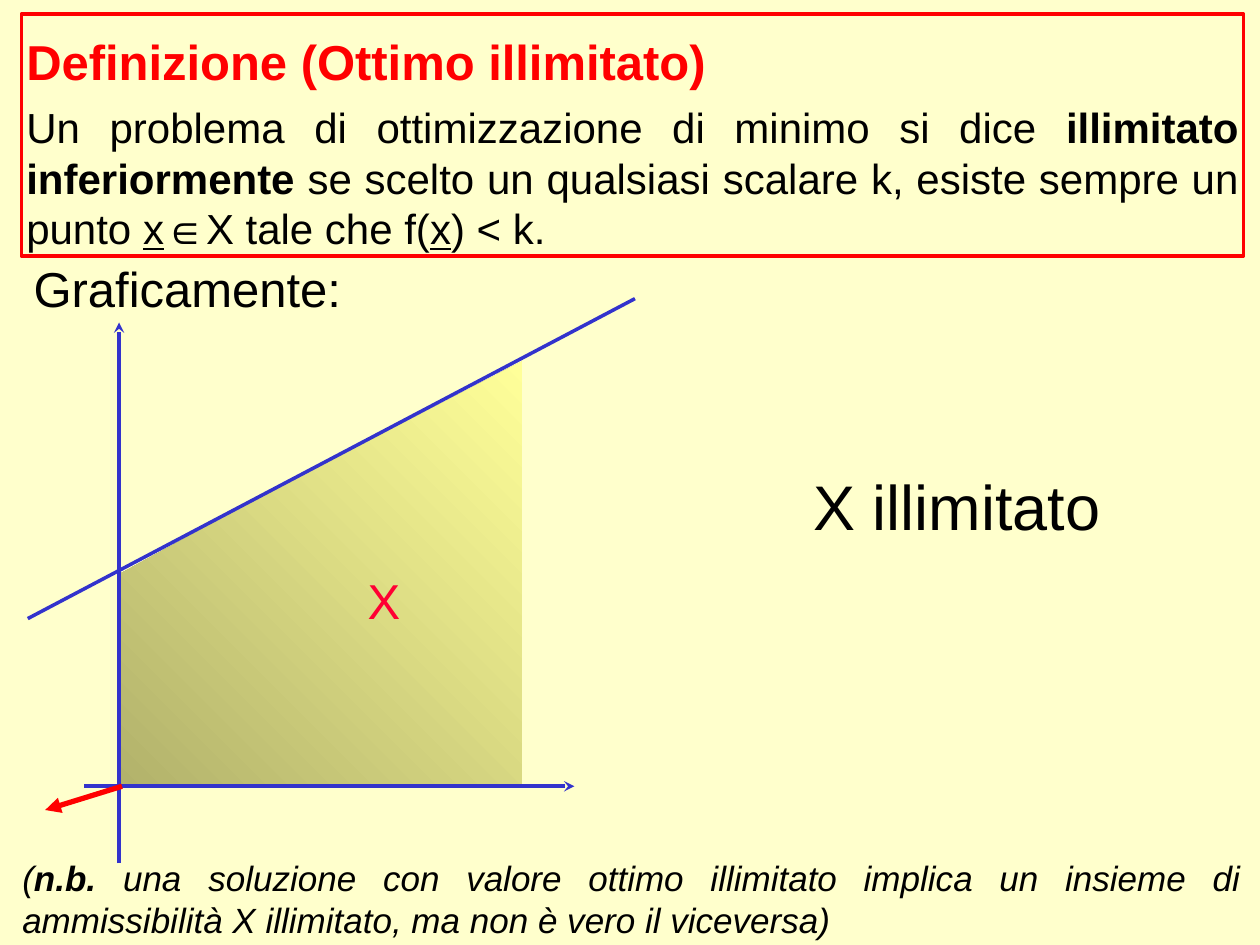
from lxml.etree import SubElement
from pptx import Presentation
from pptx.dml.color import RGBColor
from pptx.enum.shapes import MSO_CONNECTOR
from pptx.enum.text import MSO_ANCHOR, MSO_AUTO_SIZE, PP_ALIGN
from pptx.oxml.ns import qn
from pptx.util import Cm, Pt

COLOURS = {
    "paper": "FFFFCC",
    "text": "000000",
    "red": "FF0000",
    "region": "FF0033",
    "axis": "3333CC",
    "shade": "B2B26B",
    "light": "FFFF99",
}


def colour(name):
    """Return the named colour."""
    return RGBColor.from_string(COLOURS[name])


def set_values(target, values):
    """Set attributes of the target from a dict."""
    for name, value in values.items():
        setattr(target, name, value)


def set_frame(frame, side=0.25, top=0.23, wrap=True):
    """Set the insets, wrapping and sizing of a text frame."""
    set_values(frame, {
        "margin_left": Cm(side), "margin_right": Cm(side),
        "margin_top": Cm(top), "margin_bottom": Cm(0.13),
        "vertical_anchor": MSO_ANCHOR.TOP,
        "word_wrap": wrap, "auto_size": MSO_AUTO_SIZE.NONE,
    })


def write(para, spans, size, ink="text", align=PP_ALIGN.LEFT, before=0):
    """Fill a paragraph with (text, format values) spans."""
    set_values(para, {"alignment": align, "space_before": Pt(before)})
    for text, values in spans:
        span = para.add_run()
        span.text = text
        base = {"name": "Arial", "size": Pt(size), "bold": False}
        set_values(span.font, base | values)
        span.font.color.rgb = colour(ink)


def add_text(page, box, spans, size, ink="text", align=PP_ALIGN.LEFT, wrap=True):
    """Add a one-paragraph text box."""
    frame = page.shapes.add_textbox(*map(Cm, box)).text_frame
    set_frame(frame, wrap=wrap)
    write(frame.paragraphs[0], spans, size, ink, align)


def add_line(page, start, end, ink="axis", width=2, arrow=None):
    """Add a straight line, with an optional arrowhead at its end."""
    line = page.shapes.add_connector(
        MSO_CONNECTOR.STRAIGHT, *map(Cm, (*start, *end)))
    line.line.color.rgb = colour(ink)
    line.line.width = Pt(width)
    if arrow:
        SubElement(line.line._get_or_add_ln(), qn("a:tailEnd"), type=arrow)
    SubElement(line._element.spPr, qn("a:effectLst"))


def add_definition(page, box):
    """Place the framed definition in the title placeholder."""
    title = page.shapes.title
    set_values(title, dict(zip(("left", "top", "width", "height"), map(Cm, box))))
    title.line.color.rgb = colour("red")
    title.line.width = Pt(2)
    frame = title.text_frame
    set_frame(frame, side=0.1, top=0.36)
    write(frame.paragraphs[0],
          [("Definizione (Ottimo illimitato)", {"bold": True})], 28, "red")
    write(frame.add_paragraph(), [
        ("Un problema di ottimizzazione di minimo si dice ", {}),
        ("illimitato inferiormente ", {"bold": True}),
        ("se scelto un qualsiasi scalare k, esiste sempre un punto ", {}),
        ("x", {"underline": True}),
        ("∈X tale che f(", {}),
        ("x", {"underline": True}),
        (") < k.", {}),
    ], 24, align=PP_ALIGN.JUSTIFY, before=6.5)


def add_region(page, points):
    """Add the shaded feasible region."""
    corners = [(Cm(x), Cm(y)) for x, y in points]
    builder = page.shapes.build_freeform(*corners[0])
    builder.add_line_segments(corners[1:], close=True)
    region = builder.convert_to_shape()
    region.shadow.inherit = False
    region.line.fill.background()
    region.fill.gradient()
    region.fill.gradient_angle = 45
    for stop, name in zip(region.fill.gradient_stops, ("shade", "light")):
        stop.color.rgb = colour(name)


def add_graph(page, box):
    """Draw the axes, the constraint, the region and the descent direction."""
    left, top, width, height = box

    def at(x, y):
        """Return a point of the graph in page lengths."""
        return left + x, top + y

    axis_x, axis_y = 1.84, 9.83
    add_region(page, [at(*point) for point in (
        (axis_x, axis_y), (axis_x, 5.56), (4.29, 4.22),
        (9.96, 1.27), (9.96, axis_y))])
    add_line(page, at(axis_x, height), at(axis_x, 0.48), arrow="stealth")
    add_line(page, at(0, 6.45), at(width, 0))
    add_text(page, (*at(6.6, 5.26), 1.17, 1.45), [("X", {})], 28, "region",
             wrap=False)
    add_line(page, at(1.14, axis_y), at(11.02, axis_y), arrow="stealth")
    add_line(page, at(1.9, axis_y), at(0.35, 10.31), "red", 3, "triangle")


def add_note(page, box):
    """Place the closing remark."""
    add_text(page, box, [
        ("(", {"italic": True}),
        ("n.b.", {"italic": True, "bold": True}),
        (" una soluzione con valore ottimo illimitato implica un insieme di "
         "ammissibilità X illimitato, ma non è vero il viceversa)",
         {"italic": True}),
    ], 20, align=PP_ALIGN.JUSTIFY)


def main():
    """Build and save the deck."""
    deck = Presentation()
    set_values(deck, {"slide_width": Cm(25.4), "slide_height": Cm(19.05)})
    page = deck.slides.add_slide(deck.slide_layouts.get_by_name("Title Only"))
    page.background.fill.solid()
    page.background.fill.fore_color.rgb = colour("paper")
    add_definition(page, (0.43, 0.28, 24.64, 4.88))
    add_text(page, (0.43, 4.98, 7.14, 1.45), [("Graficamente:", {})], 28)
    add_graph(page, (0.56, 6.02, 12.24, 11.38))
    add_note(page, (0.2, 17.04, 25.07, 1.96))
    add_text(page, (16.15, 9.19, 6.35, 1.8), [("X illimitato", {})], 36,
             wrap=False)
    deck.save("out.pptx")


if __name__ == "__main__":
    main()
